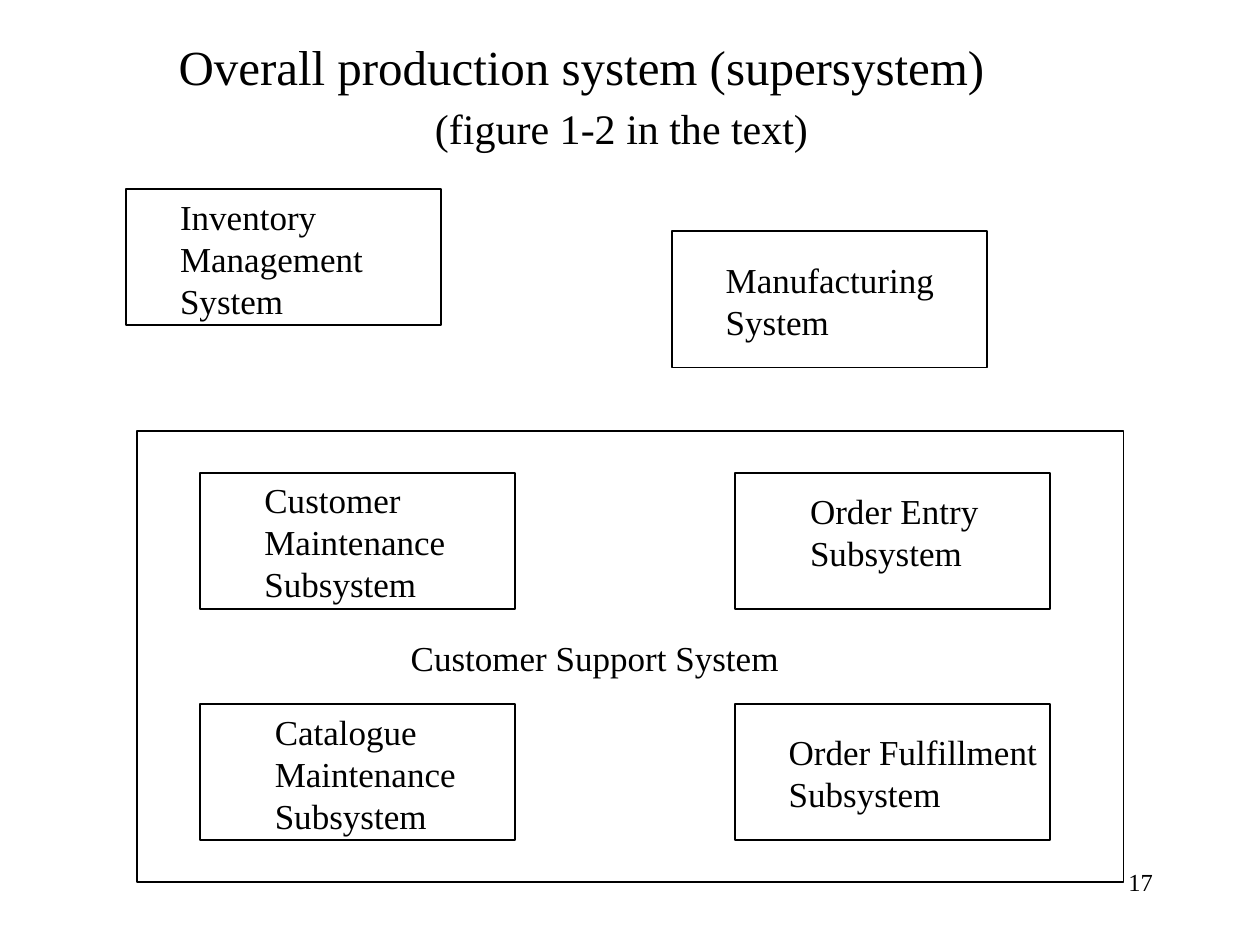
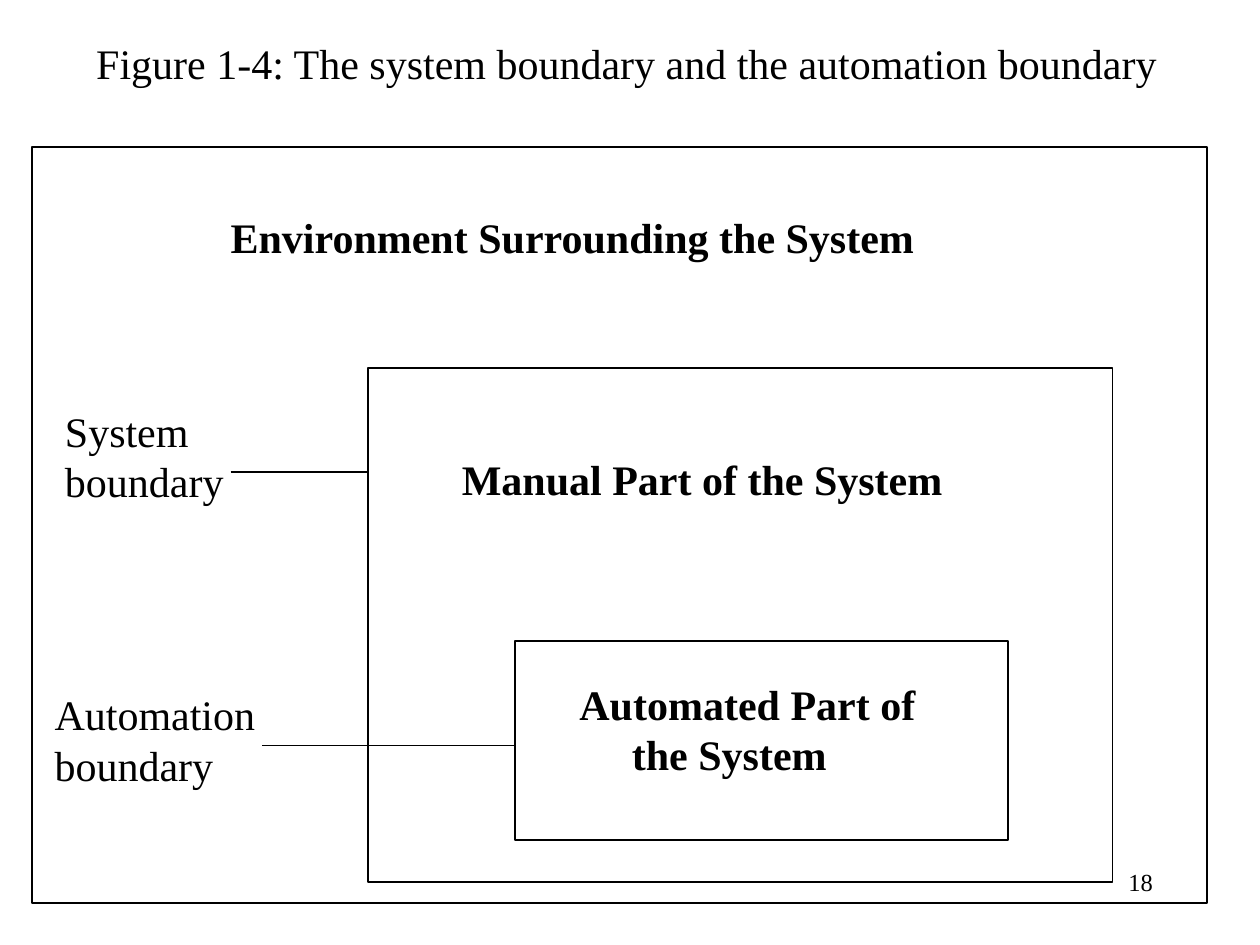
from dataclasses import dataclass

from lxml import etree
from pptx import Presentation
from pptx import util as u
from pptx.dml.color import RGBColor
from pptx.enum import shapes, text
from pptx.oxml import ns


@dataclass(frozen=True)
class Theme:
    ink: RGBColor = RGBColor(0, 0, 0)
    font: str = "Times New Roman"
    title: int = 28
    heading: int = 24
    body: int = 20
    page: int = 14
    outline: int = 1


THEME = Theme()

# All lengths below are in centimetres.
SLIDE_SIZE = (25.4, 19.05)
PAGE_AREA = (18.21, 17.35, 5.28, 1.27)
LABEL_PADDING = 0.25
LINE_CM_PER_PT = 0.0423

SUPERSYSTEM_TITLE = "Overall production system (supersystem)"
SUPERSYSTEM_SOURCE = "(figure 1-2 in the text)"
SOURCE_INDENT = 5.17

SYSTEM_SIZE = (6.35, 2.75)
LEFT, RIGHT = 4.04, 14.82
UPPER, LOWER = 9.53, 14.19
# Wording, box corner, label offset inside the box, label width
SYSTEMS = [
    (("Inventory", "Management", "System"), (2.54, 3.81), (0.84, 0), 4.25),
    (("Manufacturing", "System"), (13.55, 4.66), (0.83, 0.42), 4.8),
    (("Customer", "Maintenance", "Subsystem"), (LEFT, UPPER), (1.04, 0), 4.25),
    (("Order Entry", "Subsystem"), (RIGHT, UPPER), (1.26, 0.21), 4),
    (("Catalogue", "Maintenance", "Subsystem"), (LEFT, LOWER), (1.25, 0), 4.25),
    (("Order Fulfillment", "Subsystem"), (RIGHT, LOWER), (0.83, 0.42), 5.6),
]
SUPPORT_FRAME = (2.77, 8.69, 19.88, 9.09)
SUPPORT_LABEL = ("Customer Support System", (8.03, 12.7), 8.2)

BOUNDARY_TITLE = "Figure 1-4: The system boundary and the automation boundary"
# Wording, frame, label corner, label width, indent of the second line
REGIONS = [
    (("Environment Surrounding the System",),
     (0.64, 2.97, 23.7, 15.24), (4.4, 4.14), 14.4, 0),
    (("Manual Part of the System",),
     (7.42, 7.42, 15.01, 10.36), (9.06, 9.02), 10.3, 0),
    (("Automated Part of", "the System"),
     (10.39, 12.93, 9.93, 4.01), (11.43, 13.55), 7.35, 1.06),
]
ENVIRONMENT, MANUAL, AUTOMATED = (region[1] for region in REGIONS)
# Wording, label corner, label width, start of the pointer, frame it reaches
BOUNDARIES = [
    (("System", "boundary"), (1.06, 8.05), 3.8, (4.65, 9.52), MANUAL),
    (("Automation", "boundary"), (0.85, 13.76), 4.6, (5.29, 15.03), AUTOMATED),
]


def cm(lengths):
    return [u.Cm(length) for length in lengths]


def style(paragraph, size, bold=False):
    font = paragraph.font
    font.name, font.size, font.bold = THEME.font, u.Pt(size), bold
    font.color.rgb = THEME.ink


def frame(slide, area):
    box = slide.shapes.add_shape(shapes.MSO_SHAPE.RECTANGLE, *cm(area))
    box.shadow.inherit = False
    box.fill.background()
    box.line.color.rgb = THEME.ink
    box.line.width = u.Pt(THEME.outline)


def label(slide, lines, corner, width, size=THEME.body, bold=False, indent=0):
    """Write one paragraph per line; indent moves all lines after the first."""
    height = LABEL_PADDING + len(lines) * size * LINE_CM_PER_PT
    area = slide.shapes.add_textbox(*cm((*corner, width, height)))
    area.text_frame.auto_size = text.MSO_AUTO_SIZE.SHAPE_TO_FIT_TEXT
    # Wrapping keeps the left edge fixed; every width leaves room for its line.
    area.text_frame.word_wrap = True
    area.text_frame.text = "\n".join(lines)
    paragraphs = area.text_frame.paragraphs
    for paragraph in paragraphs:
        style(paragraph, size, bold)
    if indent:
        for paragraph in paragraphs[1:]:
            paragraph._p.get_or_add_pPr().set("marL", str(u.Cm(indent)))
    return paragraphs


def pointer(slide, start, target):
    """Draw a level line from start to the left edge of the target frame."""
    x, y = start
    line = slide.shapes.add_connector(
        shapes.MSO_CONNECTOR.STRAIGHT, *cm((x, y, target[0], y)))
    line.line.color.rgb = THEME.ink
    line.line.width = u.Pt(THEME.outline)
    etree.SubElement(line._element.spPr, ns.qn("a:effectLst"))


def new_slide(deck, page):
    slide = deck.slides.add_slide(deck.slide_layouts[6])
    number = slide.shapes.add_textbox(*cm(PAGE_AREA)).text_frame
    number.word_wrap = True
    number.text = str(page)
    number.paragraphs[0].alignment = text.PP_ALIGN.RIGHT
    style(number.paragraphs[0], THEME.page)
    return slide


def supersystem_slide(deck):
    slide = new_slide(deck, 17)
    _, source = label(slide, (SUPERSYSTEM_TITLE, SUPERSYSTEM_SOURCE),
                      (3.35, 0.61), 16.9, THEME.title, indent=SOURCE_INDENT)
    style(source, THEME.heading)
    source.space_before = u.Pt(4)

    frame(slide, SUPPORT_FRAME)
    for lines, (left, top), (dx, dy), width in SYSTEMS:
        frame(slide, (left, top, *SYSTEM_SIZE))
        label(slide, lines, (left + dx, top + dy), width)
    wording, corner, width = SUPPORT_LABEL
    label(slide, (wording,), corner, width)


def boundary_slide(deck):
    slide = new_slide(deck, 18)
    label(slide, (BOUNDARY_TITLE,), (1.69, 0.64), 22.1, THEME.heading)
    for lines, area, corner, width, indent in REGIONS:
        frame(slide, area)
        label(slide, lines, corner, width, THEME.heading, True, indent)
    for lines, corner, width, start, target in BOUNDARIES:
        label(slide, lines, corner, width, THEME.heading)
        pointer(slide, start, target)


def main():
    deck = Presentation()
    deck.slide_width, deck.slide_height = cm(SLIDE_SIZE)
    supersystem_slide(deck)
    boundary_slide(deck)
    deck.save("out.pptx")


if __name__ == "__main__":
    main()
